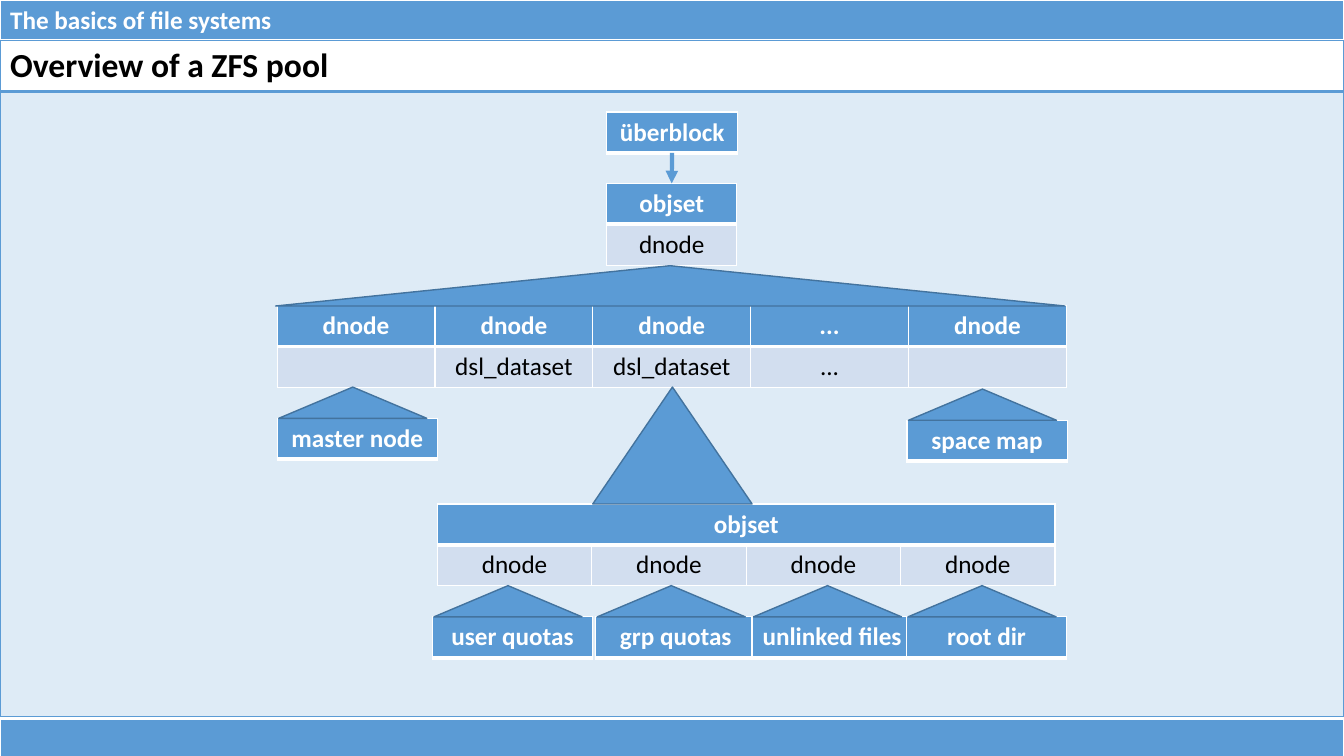
from dataclasses import dataclass

from lxml import etree
from pptx import Presentation
from pptx.dml.color import RGBColor
from pptx.enum.shapes import MSO_CONNECTOR, MSO_SHAPE
from pptx.enum.text import PP_ALIGN
from pptx.oxml.ns import qn
from pptx.util import Pt

STRAIGHT = MSO_CONNECTOR.STRAIGHT
TRIANGLE = MSO_SHAPE.ISOSCELES_TRIANGLE
CENTER, LEFT = PP_ALIGN.CENTER, PP_ALIGN.LEFT

COLORS = {"blue": "5B9BD5", "pale": "D2DEEF", "outline": "43739E",
          "white": "FFFFFF", "black": "000000"}
FONT = "Calibri"
PAGE_WIDTH, PAGE_HEIGHT = 960, 540
ROW_HEIGHT = 29.2
LEAF_WIDTH, ROOF_WIDTH, ROOF_HEIGHT, ROOF_INSET = 114.5, 105.8, 22.3, 1.1


@dataclass(frozen=True)
class RowStyle:
    fill: str | None
    text: str
    bold: bool = True
    size: float = 18
    opacity: int = 100
    edge: str = "white"
    bottom: float = 1


HEADER = RowStyle("blue", "white", bottom=3)
BODY = RowStyle("pale", "black", bold=False)
TITLE = RowStyle(None, "black", size=24, edge="blue", bottom=2)
CANVAS = RowStyle("blue", "black", opacity=20, edge="blue")


@dataclass(frozen=True)
class Row:
    style: RowStyle
    labels: tuple[str, ...]
    height: float = ROW_HEIGHT


@dataclass(frozen=True)
class Grid:
    left: float
    top: float
    column_width: float
    rows: tuple[Row, ...]
    align: PP_ALIGN = CENTER


@dataclass(frozen=True)
class Roof:
    left: float
    top: float
    width: float
    height: float


@dataclass(frozen=True)
class Leaf:
    label: str
    left: float
    top: float


GRIDS = (
    Grid(0, 0, PAGE_WIDTH, (Row(HEADER, ("The basics of file systems",)),), LEFT),
    Grid(0, 514.2, PAGE_WIDTH, (Row(HEADER, ("",)),)),
    Grid(0, 28.8, PAGE_WIDTH, (Row(TITLE, ("Overview of a ZFS pool",), 36.5),
                               Row(CANVAS, ("",), 446.5)), LEFT),
    Grid(433.4, 80, 93.6, (Row(HEADER, ("überblock",)),)),
    Grid(433.4, 131, 92.9, (Row(HEADER, ("objset",)), Row(BODY, ("dnode",)))),
    Grid(198, 218.2, 112.75, (
        Row(HEADER, ("dnode", "dnode", "dnode", "...", "dnode")),
        Row(BODY, ("", "dsl_dataset", "dsl_dataset", "...", "")))),
    Grid(312.4, 360, 110.3, (Row(HEADER, ("objset",)), Row(BODY, ("dnode",) * 4))),
)

ROOFS = (Roof(196.8, 189.8, 563.8, 28.8), Roof(423.4, 276.5, 113.8, 83.5))

LEAVES = (
    Leaf("master node", 198, 298.8),
    Leaf("space map", 647.8, 300.2),
    Leaf("user quotas", 308.9, 440.6),
    Leaf("grp quotas", 425.5, 440.6),
    Leaf("unlinked files", 537.1, 440.6),
    Leaf("root dir", 647.5, 440.6),
)


def rgb(name: str) -> RGBColor:
    return RGBColor.from_string(COLORS[name])


def add_border(cell, index: int, side: str, width: float, color: str) -> None:
    """Add one cell border; borders must come before the cell's fill."""
    line = etree.Element(qn(f"a:ln{side}"), w=str(Pt(width)))
    solid = etree.SubElement(line, qn("a:solidFill"))
    etree.SubElement(solid, qn("a:srgbClr"), val=COLORS[color])
    cell._tc.get_or_add_tcPr().insert(index, line)


def style_cell(cell, style: RowStyle, top: float) -> None:
    if style.fill is None:
        cell.fill.background()
    else:
        cell.fill.solid()
        cell.fill.fore_color.rgb = rgb(style.fill)
        if style.opacity < 100:
            color = cell._tc.tcPr.find(".//" + qn("a:srgbClr"))
            etree.SubElement(color, qn("a:alpha"), val=str(style.opacity * 1000))
    widths = {"L": 1, "R": 1, "T": top, "B": style.bottom}
    for index, (side, width) in enumerate(widths.items()):
        add_border(cell, index, side, width, style.edge)


def write_label(cell, label: str, style: RowStyle, align: PP_ALIGN) -> None:
    para = cell.text_frame.paragraphs[0]
    para.alignment = align
    span = para.add_run()
    span.text = label
    text_format = {"name": FONT, "size": Pt(style.size), "bold": style.bold}
    for name, value in text_format.items():
        setattr(span.font, name, value)
    span.font.color.rgb = rgb(style.text)


def add_grid(page, grid: Grid) -> None:
    column_count = max(len(row.labels) for row in grid.rows)
    table = page.shapes.add_table(
        len(grid.rows), column_count, Pt(grid.left), Pt(grid.top),
        Pt(grid.column_width * column_count),
        Pt(sum(row.height for row in grid.rows))).table
    table.first_row = table.horz_banding = False
    for column in table.columns:
        column.width = Pt(grid.column_width)
    top = 1
    for row_index, row in enumerate(grid.rows):
        table.rows[row_index].height = Pt(row.height)
        for column_index in range(column_count):
            style_cell(table.cell(row_index, column_index), row.style, top)
        # A lone label spans the whole row
        if len(row.labels) < column_count:
            table.cell(row_index, 0).merge(table.cell(row_index, column_count - 1))
        for column_index, label in enumerate(row.labels):
            if label:
                write_label(table.cell(row_index, column_index), label,
                            row.style, grid.align)
        top = row.style.bottom


def add_roof(page, roof: Roof) -> None:
    shape = page.shapes.add_shape(TRIANGLE, Pt(roof.left), Pt(roof.top),
                                  Pt(roof.width), Pt(roof.height))
    shape.shadow.inherit = False
    shape.fill.solid()
    shape.fill.fore_color.rgb = rgb("blue")
    shape.line.color.rgb = rgb("outline")
    shape.line.width = Pt(1)


def add_leaf(page, leaf: Leaf) -> None:
    add_grid(page, Grid(leaf.left, leaf.top, LEAF_WIDTH,
                        (Row(HEADER, (leaf.label,)),)))
    add_roof(page, Roof(leaf.left + ROOF_INSET, leaf.top - ROOF_HEIGHT,
                        ROOF_WIDTH, ROOF_HEIGHT))


def add_arrow(page, start: tuple[float, float], end: tuple[float, float]) -> None:
    arrow = page.shapes.add_connector(STRAIGHT, *map(Pt, start + end))
    arrow.line.color.rgb = rgb("blue")
    arrow.line.width = Pt(3)
    etree.SubElement(arrow.line._get_or_add_ln(), qn("a:tailEnd"), type="triangle")
    etree.SubElement(arrow._element.spPr, qn("a:effectLst"))


def main() -> None:
    deck = Presentation()
    deck.slide_width, deck.slide_height = Pt(PAGE_WIDTH), Pt(PAGE_HEIGHT)
    page = deck.slides.add_slide(deck.slide_layouts[6])

    # Bars, title and pool tables
    for grid in GRIDS:
        add_grid(page, grid)

    # Triangles fanning out to the dnode arrays
    for roof in ROOFS:
        add_roof(page, roof)

    # Objects below single dnodes
    for leaf in LEAVES:
        add_leaf(page, leaf)

    # Überblock to objset
    add_arrow(page, (480.1, 109.2), (479.8, 131))
    deck.save("out.pptx")


if __name__ == "__main__":
    main()
